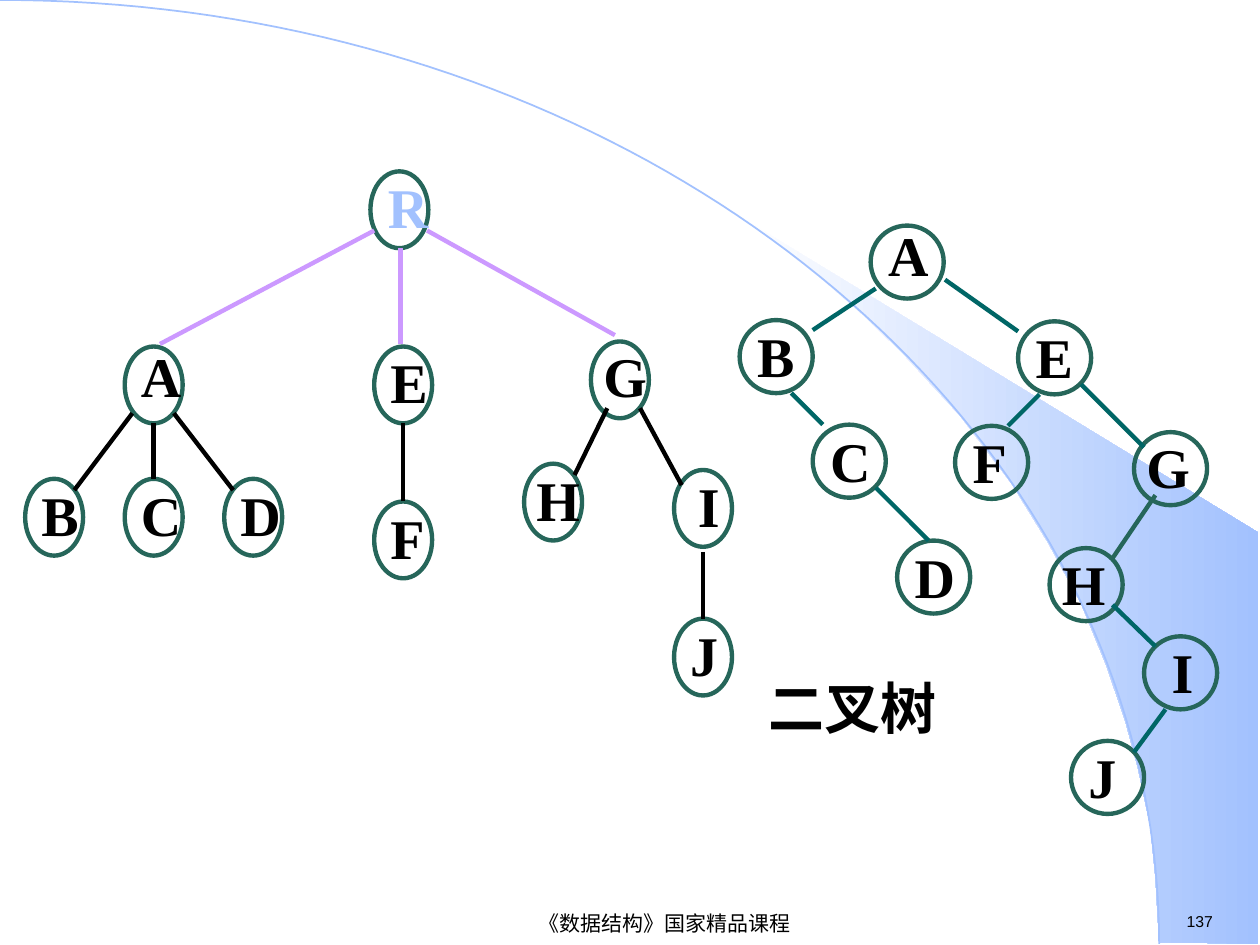
from pptx import Presentation, util as u
from pptx.dml.color import RGBColor
from pptx.enum import shapes, text
from pptx.oxml.ns import qn
from lxml import etree

COLS, ROWS = 100, 75
HUES = {"ink": "000000", "ring": "26665A", "teal": "006666",
        "sky": "A2C1FE", "violet": "CC99FF", "white": "FFFFFF"}


def hue(name):
    return RGBColor.from_string(HUES[name])


def write(frame, words, size=32, font="Times New Roman", color="ink",
          bold=True, align=None, space=1.0):
    para = frame.paragraphs[0]
    para.alignment = align
    para.line_spacing = space
    run = para.add_run()
    run.text = words
    run.font.size = u.Pt(size)
    run.font.name = font
    run.font.bold = bold
    run.font.color.rgb = hue(color)


class Board:
    """Draws tree parts on one slide, measured in grid columns and rows."""

    def __init__(self, deck):
        self.slide = deck.slides.add_slide(deck.slide_layouts[6])
        self.items = self.slide.shapes
        self.col = deck.slide_width / COLS
        self.row = deck.slide_height / ROWS
        self.pen = u.Pt(2.5)

    def spot(self, x, y):
        return round(x * self.col), round(y * self.row)

    def label(self, words, x, y, w, h, wrap=True, middle=False, **look):
        box = self.items.add_textbox(*self.spot(x, y), *self.spot(w, h))
        frame = box.text_frame
        frame.word_wrap = wrap
        if middle:
            frame.vertical_anchor = text.MSO_ANCHOR.MIDDLE
        write(frame, words, **look)

    def node(self, name, x, y, w, h, lean, color="ink"):
        ring = self.items.add_shape(shapes.MSO_SHAPE.OVAL,
                                    *self.spot(x, y), *self.spot(w, h))
        ring.shadow.inherit = False
        ring.fill.background()
        ring.line.color.rgb = hue("ring")
        ring.line.width = self.pen
        shift = {"G": 0, "H": 0, "I": 3 * lean}.get(name, lean)
        lift = 0.5 if name == "G" else 0.9
        space = 1.0 if name in "AG" else 1.1
        self.label(name, x + shift, y - lift, w, 6.4, color=color, space=space)

    def edge(self, x1, y1, x2, y2, color):
        line = self.items.add_connector(shapes.MSO_CONNECTOR.STRAIGHT,
                                        *self.spot(x1, y1), *self.spot(x2, y2))
        line.line.color.rgb = hue(color)
        line.line.width = self.pen
        etree.SubElement(line._element.spPr, qn("a:effectLst"))

    def trace(self, points, close):
        first, *rest = [self.spot(*p) for p in points]
        pen = self.items.build_freeform(*first)
        pen.add_line_segments(rest, close=close)
        form = pen.convert_to_shape()
        form.shadow.inherit = False
        return form

    def wedge(self, points):
        form = self.trace(points, True)
        form.line.fill.background()
        form.fill.gradient()
        form.fill.gradient_angle = 0
        for stop, name, place in zip(form.fill.gradient_stops,
                                     ("white", "sky"), (0, 1)):
            stop.color.rgb = hue(name)
            stop.position = place

    def curve(self, ends, steps=80):
        marks = [i / steps for i in range(steps + 1)]
        points = [tuple(a * (1 - t) ** 3 + 3 * b * t * (1 - t) ** 2
                        + 3 * c * t * t * (1 - t) + d * t ** 3
                        for a, b, c, d in zip(*ends)) for t in marks]
        form = self.trace(points, False)
        form.fill.background()
        form.line.color.rgb = hue("sky")
        form.line.width = u.Pt(1)


WEDGE = [(92, 74.8), (99.9, 74.9), (99.9, 42.3), (58.9, 17.3), (62.4, 19.9),
         (65.3, 22.2), (68.5, 25), (71.6, 28), (76.2, 33), (80.3, 38.4),
         (83.2, 43.1), (85.8, 47.9), (87.8, 52.8), (89.3, 57.2),
         (90.3, 60.9), (91.3, 65.6), (91.7, 69.6)]
ARC = [(0, 0), (50.8, 0), (92, 33.5), (92, 74.9)]

BINARY = [("G", 90, 34.3), ("J", 85, 58.8), ("H", 83.3, 43.5),
          ("I", 90.8, 50.5), ("F", 75.8, 33.8), ("E", 80.8, 25.5),
          ("A", 69.1, 17.9), ("C", 64.5, 33.7), ("B", 58.7, 25.4),
          ("D", 71.2, 42.9)]
TREE = [("A", 9.9, 27.5), ("C", 9.9, 38), ("B", 2, 38), ("D", 17.8, 38),
        ("F", 29.7, 39.8), ("E", 29.7, 27.5), ("G", 46.9, 27.1),
        ("J", 53.5, 49.1), ("H", 41.6, 36.8), ("I", 53.5, 37.3)]

EDGES = {
    "ring": [(91.7, 39.3, 88.3, 44.3)],
    "teal": [(85.8, 30.5, 90.8, 35.5), (88.3, 48, 91.7, 51.3),
             (92.5, 56.3, 90, 59.7), (82.5, 31.3, 80, 33.8),
             (75, 22.2, 80.8, 26.3), (69.5, 22.9, 64.5, 26.2),
             (69.5, 38.7, 73.7, 42.9), (62.8, 31.2, 65.3, 33.7)],
    "ink": [(12.2, 33.6, 12.2, 38), (10.5, 32.8, 5.9, 38.9),
            (13.8, 32.8, 18.5, 38.9), (32, 33.6, 32, 39.8),
            (48.2, 32.4, 45.6, 37.7), (50.8, 32.4, 54.1, 38.5),
            (55.8, 43.8, 55.8, 49.1)],
    "violet": [(29.7, 18.3, 12.7, 27.3), (31.8, 19.7, 31.8, 27.3),
               (33.9, 18.3, 48.8, 26.6)],
}


def main():
    deck = Presentation()
    deck.slide_width, deck.slide_height = u.Inches(10), u.Inches(7.5)
    board = Board(deck)
    board.wedge(WEDGE)
    board.curve(ARC)
    board.label("137", 93.2, 71.9, 7.7, 2.5, wrap=False,
                size=9, font="Arial", bold=False)
    board.label("《数据结构》国家精品课程", 24, 72.1, 57.5, 2.4, wrap=False,
                middle=True, size=12, font="Arial", bold=False,
                align=text.PP_ALIGN.CENTER)
    board.label("二叉树", 60, 53, 18.3, 6.4)
    for name, x, y in BINARY:
        board.node(name, x, y, 5.8, 5.8, lean=0.4)
    for name, x, y in TREE:
        board.node(name, x, y, 4.6, 6.1, lean=0.3)
    board.node("R", 29.4, 13.6, 4.6, 6.1, lean=0.4, color="sky")
    for color, lines in EDGES.items():
        for ends in lines:
            board.edge(*ends, color)
    deck.save("out.pptx")


if __name__ == "__main__":
    main()
